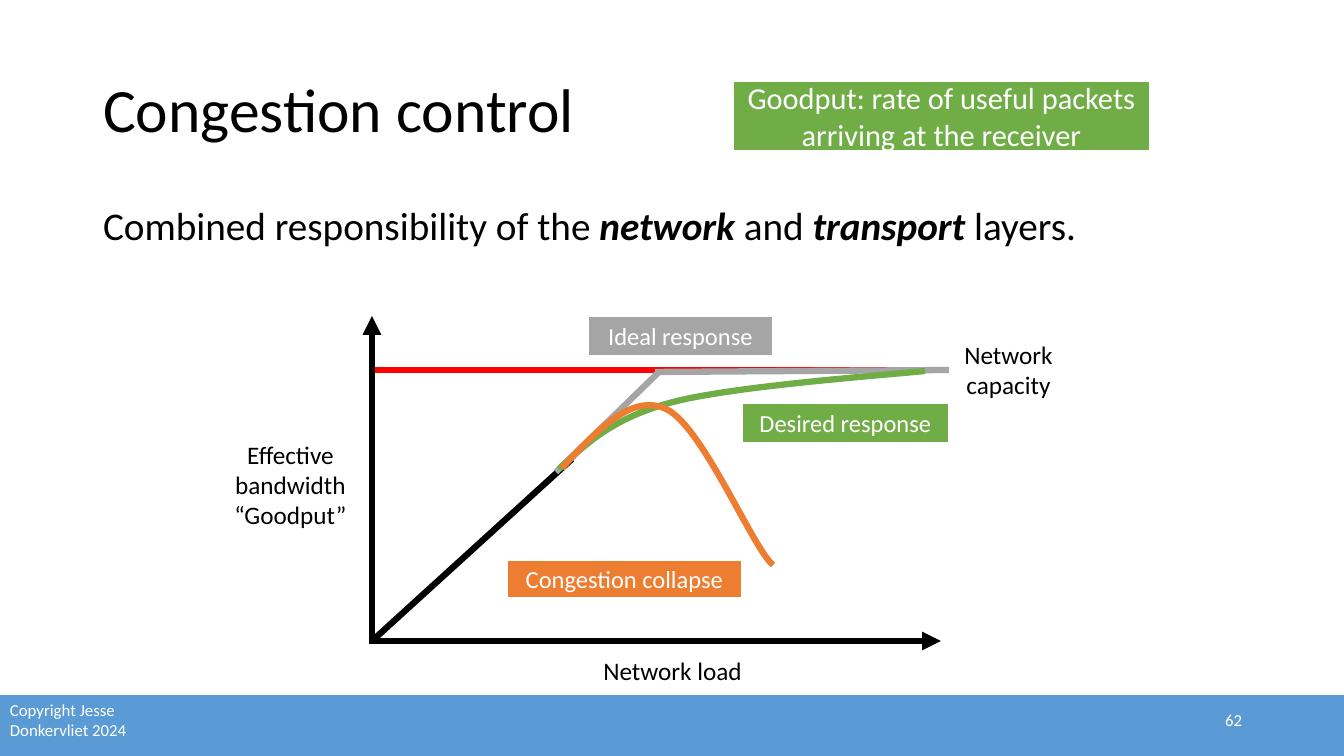
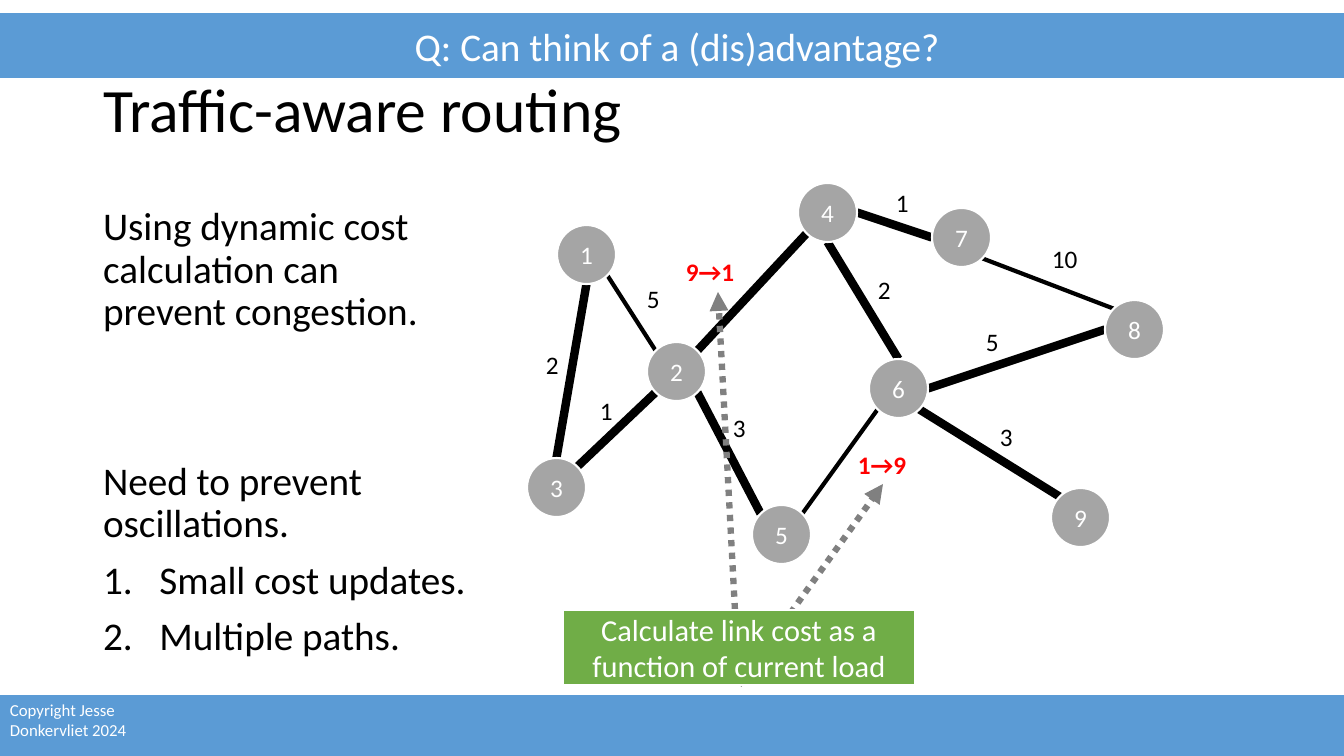
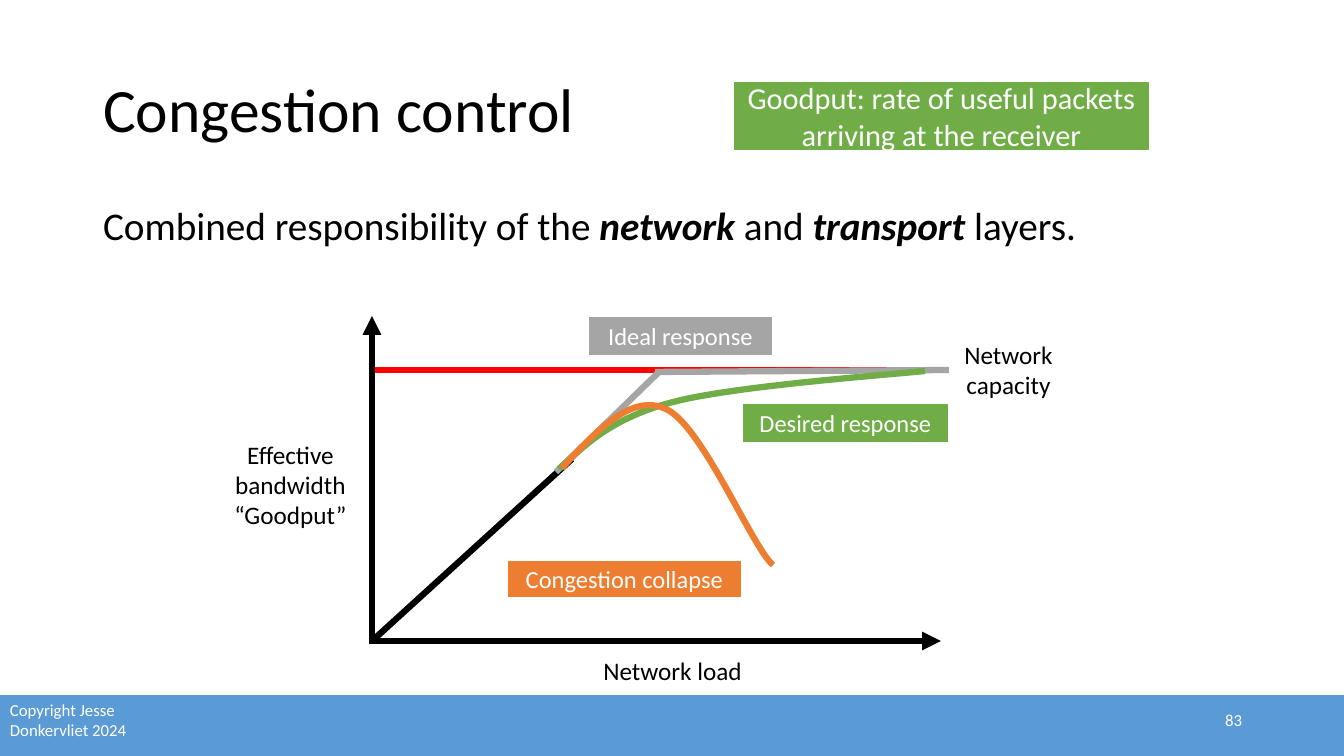
"""Build three slides on congestion control and traffic-aware routing."""
import math
from dataclasses import dataclass

from lxml import etree
from pptx import Presentation
from pptx import util as u
from pptx.dml.color import RGBColor
from pptx.enum import dml, shapes, text
from pptx.oxml import ns

EMU_PER_PX = 914400 / 100.8


@dataclass(frozen=True)
class Theme:
    font: str = "Calibri"
    black: str = "000000"
    white: str = "FFFFFF"
    blue: str = "5B9BD5"
    green: str = "70AD47"
    orange: str = "ED7D31"
    gray: str = "A5A5A5"
    dark_gray: str = "808080"
    red: str = "FF0000"
    title: float = 44
    body: float = 28
    callout: float = 21.7
    label: float = 18
    tag: float = 17.5
    footer: float = 12
    outline: float = 1.5
    thin: float = 3
    curve: float = 4.5
    thick: float = 6


THEME = Theme()
CENTER, LEFT, RIGHT = text.PP_ALIGN.CENTER, text.PP_ALIGN.LEFT, text.PP_ALIGN.RIGHT
TOP, MIDDLE = text.MSO_ANCHOR.TOP, text.MSO_ANCHOR.MIDDLE
RECTANGLE, OVAL = shapes.MSO_SHAPE.RECTANGLE, shapes.MSO_SHAPE.OVAL

SLIDE_SIZE = (1344, 756)
TITLE_BOX = (93, 40, 1159, 146)
BODY_BOX = (93, 202, 1159, 480)
FOOTER_BAND = (-31, 694, 1406, 82)
COPYRIGHT_BOX = (0, 695, 148, 50)
NUMBER_BOX = (950, 700, 302, 40)
COPYRIGHT = "Copyright Jesse Donkervliet 2024"

CONGESTION_TITLE = "Congestion control"
CONGESTION_BODY = [
    dict(runs=[("Combined responsibility of the ", False), ("network ", True),
               ("and ", False), ("transport ", True), ("layers.", False)]),
]
PLOT_LINES = [
    ((372, 370), (944, 370), THEME.red, False),
    ((372, 643), (372, 316), THEME.black, True),
    ((369, 641), (941, 641), THEME.black, True),
    ((372, 641), (572, 459), THEME.black, False),
    ((556, 472), (659, 372), THEME.gray, False),
    ((655, 372), (949, 370), THEME.gray, False),
]
PLOT_CURVES = [
    ([(559, 469), (586, 444), (612, 418), (673, 402),
      (734, 386), (886, 375), (925, 371)], THEME.green),
    ([(562, 468), (597, 430), (632, 393), (666, 409),
      (702, 425), (753, 549), (773, 565)], THEME.orange),
]
PLOT_LABELS = [
    (["Effective bandwidth", "“Goodput”"], (212, 434, 157, 102)),
    (["Network load"], (588, 650, 169, 40)),
    (["Network capacity"], (949, 334, 119, 72)),
]
PLOT_TAGS = [
    ("Goodput: rate of useful packets arriving at the receiver",
     (733, 81, 417, 70), THEME.green, THEME.callout),
    ("Ideal response", (588, 316, 185, 40), THEME.gray, THEME.tag),
    ("Desired response", (742, 403, 207, 40), THEME.green, THEME.tag),
    ("Congestion collapse", (507, 560, 235, 38), THEME.orange, THEME.tag),
]

ROUTING_TITLE = "Traffic-aware routing"
ROUTING_BODY = [
    dict(runs=[("Using dynamic cost\vcalculation can\vprevent congestion.", False)]),
    dict(runs=[("Need to prevent\voscillations.", False)], before=91),
    dict(runs=[("Small cost updates.", False)], numbered=True),
    dict(runs=[("Multiple paths.", False)], numbered=True),
]
NODE_DIAMETER = 59
NODES = {
    1: (557, 225), 2: (647, 342), 3: (527, 458), 4: (798, 183), 5: (752, 505),
    6: (869, 359), 7: (932, 208), 8: (1105, 300), 9: (1051, 488),
}
COMPASS = {name: index * math.pi / 4
           for index, name in enumerate(["E", "SE", "S", "SW", "W", "NW", "N", "NE"])}
LINKS = [
    (1, "SE", 2, "NW", THEME.thin), (2, "NE", 4, "SW", THEME.thick),
    (4, "E", 7, "W", THEME.thick), (4, "S", 6, "N", THEME.thick),
    (5, "NE", 6, "SW", THEME.thin), (2, "SW", 3, "NE", THEME.thick),
    (8, "W", 6, "E", THEME.thick), (9, "NW", 6, "SE", THEME.thick),
    (5, "NW", 2, "SE", THEME.thick), (7, "SE", 8, "NW", THEME.thin),
    (1, "S", 3, "N", THEME.thick),
]
COST_SIZE, CHANGE_SIZE = (46, 40), (83, 40)
COSTS = [
    ("1", 590, 390), ("5", 637, 278), ("3", 723, 407), ("2", 868, 269), ("1", 886, 182),
    ("10", 1042, 238), ("5", 976, 321), ("3", 990, 416), ("2", 536, 344),
]
COST_CHANGES = [("9→1", 676, 251), ("1→9", 848, 444)]
LOAD_NOTE = ("Calculate link cost as a function of current load", (563, 610, 352, 75))
LOAD_ARROW_TIPS = [(718, 292), (883, 484)]
QUESTION = ("Q: Can think of a (dis)advantage?", (-33, 12, 1420, 67))


def px(*lengths):
    return [u.Emu(round(length * EMU_PER_PX)) for length in lengths]


def rgb(color):
    return RGBColor.from_string(color)


def format_run(run, size, color, bold=None, italic=None):
    font = run.font
    font.name, font.size = THEME.font, u.Pt(size)
    font.color.rgb = rgb(color)
    font.bold, font.italic = bold, italic


def write(shape, lines, size, color, align=LEFT, anchor=TOP, bold=None):
    frame = shape.text_frame
    frame.text = "\n".join(lines)
    frame.word_wrap, frame.vertical_anchor = True, anchor
    for paragraph in frame.paragraphs:
        paragraph.alignment = align
        for run in paragraph.runs:
            format_run(run, size, color, bold)


def add_label(slide, lines, box, size=THEME.label, color=THEME.black, **style):
    write(slide.shapes.add_textbox(*px(*box)), lines, size, color, **style)


def add_block(slide, box, fill, words="", size=THEME.label, kind=RECTANGLE):
    shape = slide.shapes.add_shape(kind, *px(*box))
    shape.shadow.inherit = False
    shape.fill.solid()
    shape.fill.fore_color.rgb = rgb(fill)
    shape.line.color.rgb = rgb(THEME.white)
    shape.line.width = u.Pt(THEME.outline)
    if words:
        write(shape, [words], size, THEME.white, CENTER, MIDDLE)
    return shape


def add_line(slide, start, end, color, width, arrow=False):
    connector = slide.shapes.add_connector(
        shapes.MSO_CONNECTOR.STRAIGHT, *px(*start, *end))
    connector.line.color.rgb = rgb(color)
    connector.line.width = u.Pt(width)
    if arrow:
        etree.SubElement(connector.line._get_or_add_ln(), ns.qn("a:tailEnd"), type="triangle")
    etree.SubElement(connector._element.spPr, ns.qn("a:effectLst"))
    return connector


def bezier_points(controls, steps=24):
    points = [controls[0]]
    for first in range(0, len(controls) - 1, 3):
        segment = controls[first:first + 4]
        for step in range(1, steps + 1):
            t = step / steps
            weights = [math.comb(3, k) * t ** k * (1 - t) ** (3 - k) for k in range(4)]
            points.append(tuple(sum(w * point[axis] for w, point in zip(weights, segment))
                                for axis in range(2)))
    return points


def add_curve(slide, controls, color):
    points = [px(*point) for point in bezier_points(controls)]
    builder = slide.shapes.build_freeform(*points[0])
    builder.add_line_segments(points[1:], close=False)
    curve = builder.convert_to_shape()
    curve.shadow.inherit = False
    curve.fill.background()
    curve.line.color.rgb = rgb(color)
    curve.line.width = u.Pt(THEME.curve)


def place(shape, box):
    shape.left, shape.top, shape.width, shape.height = px(*box)
    shape.text_frame.auto_size = text.MSO_AUTO_SIZE.NONE


def fill_body(body, items):
    place(body, BODY_BOX)
    frame = body.text_frame
    frame.word_wrap, frame.vertical_anchor = True, TOP
    for index, item in enumerate(items):
        paragraph = frame.paragraphs[0] if index == 0 else frame.add_paragraph()
        numbered = item.get("numbered", False)
        indent = u.Inches(0.56) if numbered else 0
        properties = paragraph._p.get_or_add_pPr()
        properties.set("marL", str(indent))
        properties.set("indent", str(-indent))
        if numbered:
            etree.SubElement(properties, ns.qn("a:buFont"), typeface="+mj-lt")
            etree.SubElement(properties, ns.qn("a:buAutoNum"), type="arabicPeriod")
        else:
            etree.SubElement(properties, ns.qn("a:buNone"))
        paragraph.line_spacing = 0.9
        paragraph.space_before = u.Pt(item.get("before", 10) if index else 0)
        for words, emphasised in item["runs"]:
            run_words = words.split("\v")
            for position, piece in enumerate(run_words):
                if position:
                    paragraph.add_line_break()
                run = paragraph.add_run()
                run.text = piece
                format_run(run, THEME.body, THEME.black, emphasised, emphasised)


def new_slide(presentation, title, body, number=None):
    slide = presentation.slides.add_slide(presentation.slide_layouts[1])
    add_block(slide, FOOTER_BAND, THEME.blue)
    add_label(slide, [COPYRIGHT], COPYRIGHT_BOX, THEME.footer, THEME.white, anchor=MIDDLE)
    if number:
        add_label(slide, [str(number)], NUMBER_BOX, THEME.footer, THEME.white,
                  align=RIGHT, anchor=MIDDLE)
    place(slide.shapes.title, TITLE_BOX)
    write(slide.shapes.title, [title], THEME.title, THEME.black, LEFT, MIDDLE)
    slide.shapes.title.text_frame.paragraphs[0].line_spacing = 0.9
    fill_body(slide.placeholders[1], body)
    return slide


def congestion_slide(presentation, number):
    slide = new_slide(presentation, CONGESTION_TITLE, CONGESTION_BODY, number)
    for start, end, color, arrow in PLOT_LINES:
        add_line(slide, start, end, color, THEME.curve, arrow)
    for lines, box in PLOT_LABELS:
        add_label(slide, lines, box, align=CENTER)
    for controls, color in PLOT_CURVES:
        add_curve(slide, controls, color)
    for words, box, fill, size in PLOT_TAGS:
        add_block(slide, box, fill, words, size)


def node_point(node, direction):
    radius, angle = NODE_DIAMETER / 2, COMPASS[direction]
    left, top = NODES[node]
    return (left + radius * (1 + math.cos(angle)), top + radius * (1 + math.sin(angle)))


def routing_slide(presentation):
    slide = new_slide(presentation, ROUTING_TITLE, ROUTING_BODY)
    for start, start_side, end, end_side, width in LINKS:
        add_line(slide, node_point(start, start_side), node_point(end, end_side),
                 THEME.black, width)
    for node, corner in NODES.items():
        add_block(slide, (*corner, NODE_DIAMETER, NODE_DIAMETER), THEME.gray,
                  str(node), kind=OVAL)
    for cost, left, top in COSTS:
        add_label(slide, [cost], (left, top, *COST_SIZE))
    for change, left, top in COST_CHANGES:
        add_label(slide, [change], (left, top, *CHANGE_SIZE), color=THEME.red, bold=True)

    words, box = LOAD_NOTE
    note_bottom = (box[0] + box[2] / 2, box[1] + box[3])
    arrows = [add_line(slide, note_bottom, tip, THEME.dark_gray, THEME.curve, arrow=True)
              for tip in LOAD_ARROW_TIPS]
    note = add_block(slide, box, THEME.green, words, THEME.callout)
    for arrow in arrows:
        arrow.line.dash_style = dml.MSO_LINE.ROUND_DOT
        arrow.begin_connect(note, 2)

    words, box = QUESTION
    add_block(slide, box, THEME.blue, words, THEME.body)


def main():
    presentation = Presentation()
    presentation.slide_width, presentation.slide_height = px(*SLIDE_SIZE)
    congestion_slide(presentation, 62)
    routing_slide(presentation)
    congestion_slide(presentation, 83)
    presentation.save("out.pptx")


if __name__ == "__main__":
    main()
